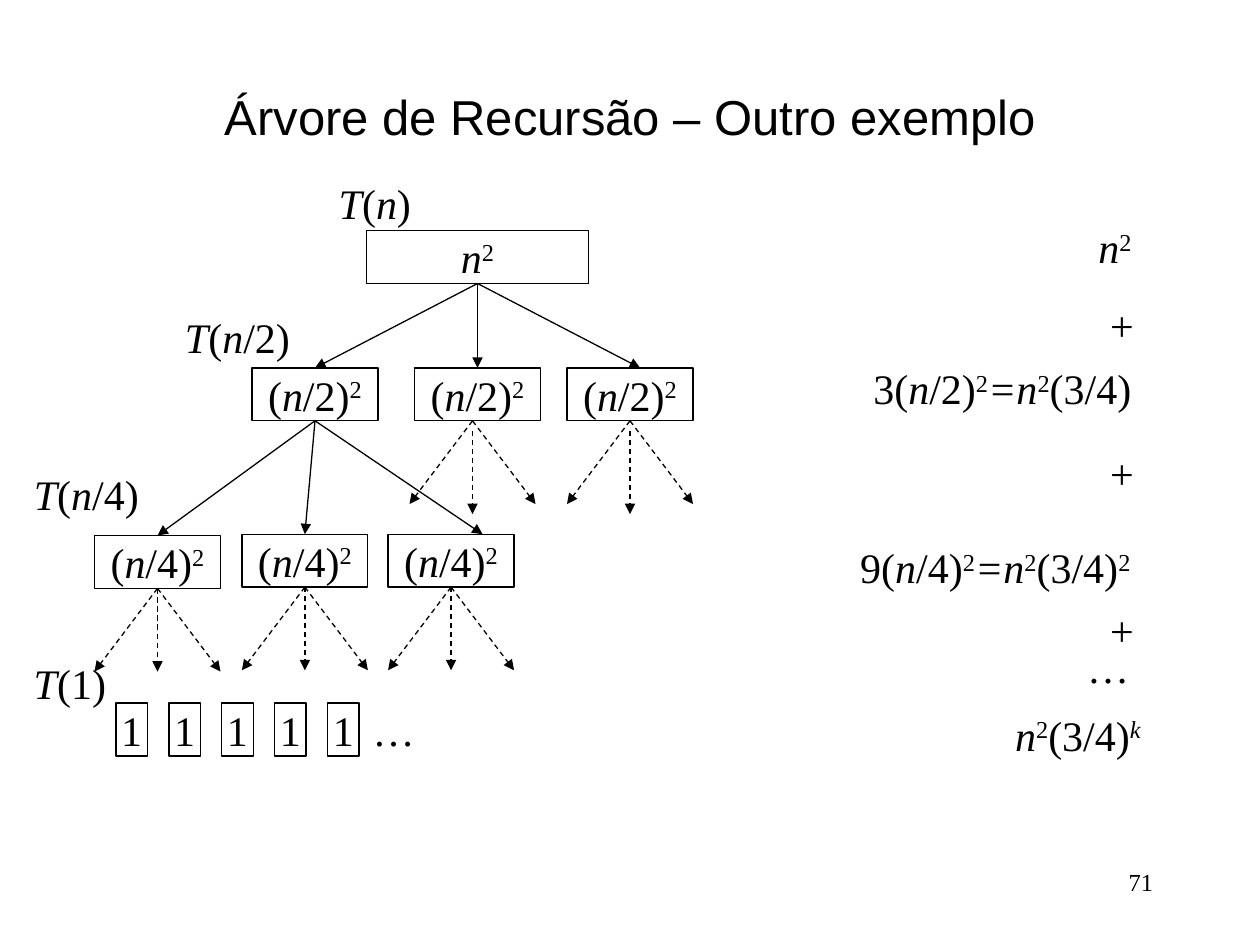
from itertools import groupby

from lxml.etree import SubElement
from pptx import Presentation
from pptx.dml.color import RGBColor
from pptx.enum.dml import MSO_LINE
from pptx.enum.shapes import MSO_CONNECTOR, MSO_SHAPE
from pptx.enum.text import MSO_ANCHOR, PP_ALIGN
from pptx.oxml.ns import qn
from pptx.util import Inches, Pt

COLORS = {"ink": "000000"}
MATH_FONT = "Times New Roman"
BOX_H = 0.42

# In formulas, ^ raises the next character; letters and = are italic.
TITLE = "Árvore de Recursão – Outro exemplo"
PAGE = "71"
# text, left, top, width
NODES = [
    ("n^2", 2.91, 1.83, 1.76),
    ("(n/2)^2", 2, 2.92, 1),
    ("(n/2)^2", 3.29, 2.92, 1),
    ("(n/2)^2", 4.5, 2.92, 1),
    ("(n/4)^2", 0.75, 4.25, 1),
    ("(n/4)^2", 1.92, 4.24, 1),
    ("(n/4)^2", 3.08, 4.24, 1),
]
LEAF_COUNT, LEAF_LEFT, LEAF_TOP, LEAF_STEP = 5, 0.92, 5.58, 0.42
ELLIPSES = [(2.9, 5.58), (8.57, 5.08)]
LABELS = [
    ("T(n)", 2.59, 1.36, 0.77),
    ("T(n/2)", 1.37, 2.42, 1.03),
    ("T(n/4)", 0.17, 3.67, 1.03),
    ("T(1)", 0.17, 5.17, 0.77),
    ("n^2", 8.62, 1.71, 0.46),
    ("+", 8.71, 2.33, 0.39),
    ("3(n/2)^2=n^2(3/4)", 6.83, 2.83, 2.25),
    ("+", 8.71, 3.5, 0.39),
    ("9(n/4)^2=n^2(3/4)^2", 6.73, 4.25, 2.34),
    ("+", 8.71, 4.75, 0.39),
    ("n^2(3/4)^k", 7.96, 5.58, 1.19),
]
# start point, end points
BRANCHES = [
    ((3.79, 2.25), [(2.5, 2.92), (3.79, 2.92), (5.08, 2.92)]),
    ((2.5, 3.34), [(1.25, 4.25), (2.42, 4.24), (3.83, 4.24)]),
]
# centre, top, gap above the middle arrow
FANS = [
    (3.75, 3.34, 0.08),
    (5, 3.34, 0.08),
    (1.25, 4.67, 0),
    (2.42, 4.66, 0),
    (3.58, 4.66, 0),
]
FAN_HALF, FAN_H = 0.5, 0.66


def rgb(name):
    return RGBColor.from_string(COLORS[name])


def styled_chars(formula):
    """Yield each character with its (italic, raised) style."""
    raised = False
    for ch in formula:
        if ch == "^":
            raised = True
        else:
            yield ch, (ch.isalpha() or ch == "=", raised)
            raised = False


def write(tf, formula, size=24, align=PP_ALIGN.CENTER):
    p = tf.paragraphs[0]
    p.alignment = align
    for (italic, raised), chars in groupby(styled_chars(formula), lambda c: c[1]):
        r = p.add_run()
        r.text = "".join(ch for ch, _ in chars)
        r.font.name, r.font.size = MATH_FONT, Pt(size)
        r.font.italic = italic
        r.font.color.rgb = rgb("ink")
        if raised:
            r._r.get_or_add_rPr().set("baseline", "30000")


def add_box(slide, formula, x, y, w):
    sp = slide.shapes.add_shape(
        MSO_SHAPE.RECTANGLE, Inches(x), Inches(y), Inches(w), Inches(BOX_H))
    sp.shadow.inherit = False
    sp.fill.background()
    sp.line.color.rgb = rgb("ink")
    sp.line.width = Pt(0.75)
    tf = sp.text_frame
    tf.word_wrap = False
    tf.vertical_anchor = MSO_ANCHOR.MIDDLE
    write(tf, formula)
    return sp


def add_text(slide, formula, x, y, w, h=0.5):
    """Add a one-line formula; without side margins it fits its box."""
    tf = slide.shapes.add_textbox(
        Inches(x), Inches(y), Inches(w), Inches(h)).text_frame
    tf.margin_left = tf.margin_right = 0
    tf.word_wrap = False
    write(tf, formula)
    return tf


def box_at(boxes, point, bottom):
    """Find the box whose top or bottom middle lies at the point."""
    for sp in boxes:
        dx = sp.left + sp.width / 2 - Inches(point[0])
        dy = sp.top + (sp.height if bottom else 0) - Inches(point[1])
        if max(abs(dx), abs(dy)) < Inches(0.02):
            return sp
    return None


def add_arrow(slide, boxes, start, end, dashed=False):
    line = slide.shapes.add_connector(
        MSO_CONNECTOR.STRAIGHT, *(Inches(v) for v in (*start, *end)))
    parent, child = box_at(boxes, start, True), box_at(boxes, end, False)
    if parent is not None:
        line.begin_connect(parent, 2)
    if child is not None:
        line.end_connect(child, 0)
    line.line.color.rgb = rgb("ink")
    line.line.width = Pt(0.75)
    if dashed:
        line.line.dash_style = MSO_LINE.DASH
    SubElement(line.line._get_or_add_ln(), qn("a:tailEnd"), type="triangle")
    SubElement(line._element.spPr, qn("a:effectLst"))


def main():
    prs = Presentation()
    prs.slide_width, prs.slide_height = Inches(10), Inches(7.5)
    slide = prs.slides.add_slide(prs.slide_layouts[5])

    title = slide.shapes.title
    title.left, title.top = Inches(0.75), Inches(0.67)
    title.width, title.height = Inches(8.5), Inches(0.5)
    title.text_frame.text = TITLE
    title.text_frame.vertical_anchor = MSO_ANCHOR.MIDDLE
    p = title.text_frame.paragraphs[0]
    p.alignment = PP_ALIGN.CENTER
    font = p.runs[0].font
    font.name, font.size = "Arial", Pt(28)
    font.color.rgb = rgb("ink")

    boxes = [add_box(slide, *node) for node in NODES]
    for i in range(LEAF_COUNT):
        add_box(slide, "1", LEAF_LEFT + i * LEAF_STEP, LEAF_TOP, 0.25)

    for start, ends in BRANCHES:
        for end in ends:
            add_arrow(slide, boxes, start, end)
    for x, y, gap in FANS:
        for dx, drop in ((-FAN_HALF, 0), (0, gap), (FAN_HALF, 0)):
            add_arrow(slide, boxes, (x, y + drop),
                      (x + dx, y + drop + FAN_H), dashed=True)

    for label in LABELS:
        add_text(slide, *label)
    for x, y in ELLIPSES:
        tf = add_text(slide, "…", x, y, 0.45, BOX_H)
        tf.vertical_anchor = MSO_ANCHOR.MIDDLE

    page = slide.shapes.add_textbox(
        Inches(7.17), Inches(6.83), Inches(2.08), Inches(0.5)).text_frame
    page.word_wrap = True
    write(page, PAGE, 14, PP_ALIGN.RIGHT)

    prs.save("out.pptx")


if __name__ == "__main__":
    main()
